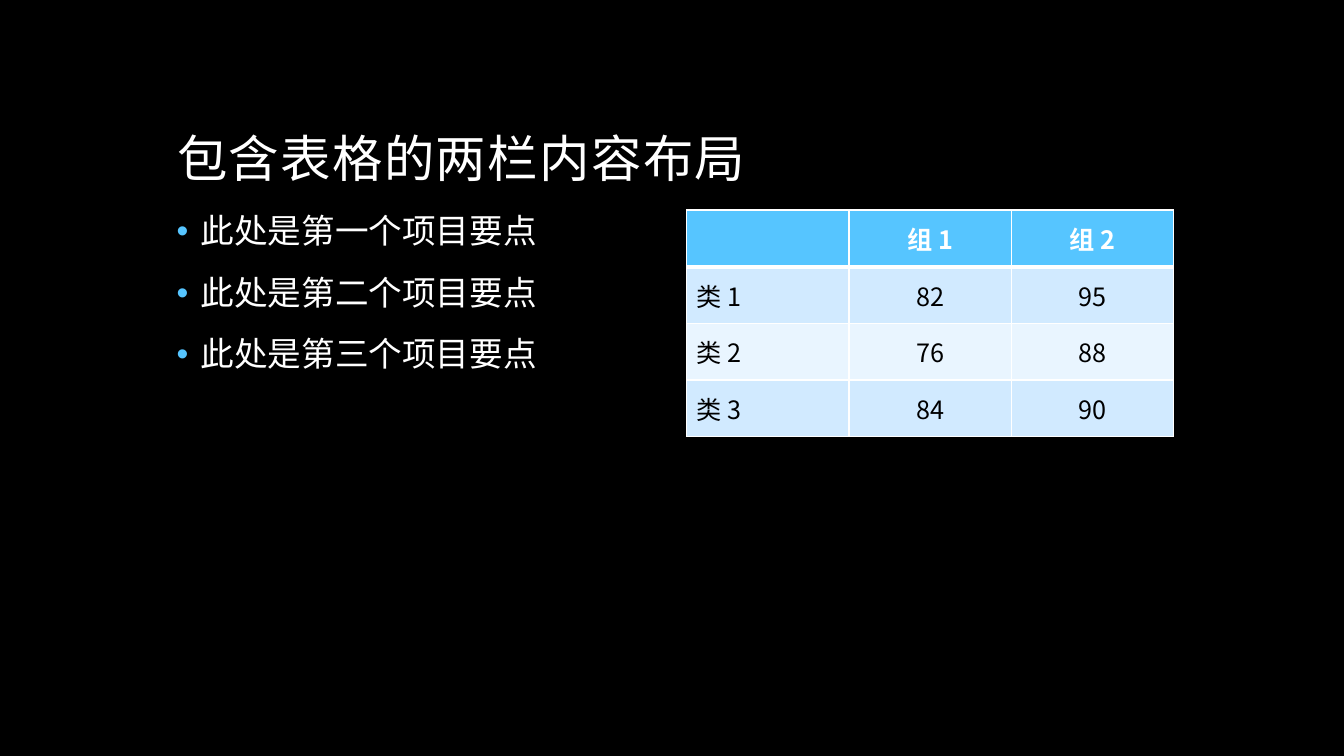
from lxml import etree
from pptx import Presentation
from pptx.dml.color import RGBColor
from pptx.enum.text import MSO_ANCHOR, PP_ALIGN
from pptx.oxml.ns import qn
from pptx.util import Pt

TOP, MIDDLE, BOTTOM = MSO_ANCHOR.TOP, MSO_ANCHOR.MIDDLE, MSO_ANCHOR.BOTTOM
LEFT, CENTER = PP_ALIGN.LEFT, PP_ALIGN.CENTER
FACE = "Noto Sans CJK SC"
HEX = {
    "back": "000000",
    "light": "FFFFFF",
    "dark": "000000",
    "blue": "56C5FF",
    "odd": "D1EAFF",
    "even": "E9F5FF",
}
TITLE = "包含表格的两栏内容布局"
POINTS = ["此处是第一个项目要点", "此处是第二个项目要点", "此处是第三个项目要点"]
ROWS = [
    ["", "组 1", "组 2"],
    ["类 1", "82", "95"],
    ["类 2", "76", "88"],
    ["类 3", "84", "90"],
]


def color(name):
    return RGBColor.from_string(HEX[name])


def add(parent, tag, **attrs):
    return etree.SubElement(parent, qn(tag), attrs)


def style(para, size, ink, bold=False):
    font = para.font
    font.size, font.bold, font.name = Pt(size), bold, FACE
    font.color.rgb = color(ink)
    props = para._p.pPr.find(qn("a:defRPr"))
    add(props, "a:ea", typeface=FACE)
    return props


def add_text(slide, box, anchor):
    frame = slide.shapes.add_textbox(*map(Pt, box)).text_frame
    frame.word_wrap = True
    frame.vertical_anchor = anchor
    return frame


def add_title(slide, box):
    para = add_text(slide, box, BOTTOM).paragraphs[0]
    para.text = TITLE
    para.line_spacing = 0.9
    style(para, 36, "light").set("spc", "100")


def add_bullet(para):
    props = para._p.get_or_add_pPr()
    props.set("marL", str(Pt(17.28)))
    props.set("indent", str(-Pt(17.28)))
    add(add(props, "a:buClr"), "a:srgbClr", val=HEX["blue"])
    add(props, "a:buFont", typeface="Arial")
    add(props, "a:buChar", char="•")


def add_points(slide, box):
    frame = add_text(slide, box, TOP)
    for i, text in enumerate(POINTS):
        para = frame.add_paragraph() if i else frame.paragraphs[0]
        para.text = text
        add_bullet(para)
        para.line_spacing = 0.9
        para.space_before = Pt(18)
        style(para, 24, "light")


def add_edges(cell, row):
    widths = {"L": 1, "R": 1, "T": 3 if row == 1 else 1, "B": 3 if row == 0 else 1}
    props = cell._tc.get_or_add_tcPr()
    for side, width in widths.items():
        line = add(props, f"a:ln{side}", w=str(Pt(width)))
        add(add(line, "a:solidFill"), "a:srgbClr", val=HEX["light"])


def add_grid(slide, box):
    table = slide.shapes.add_table(len(ROWS), len(ROWS[0]), *map(Pt, box)).table
    for r, row in enumerate(ROWS):
        head = r == 0
        fill = "blue" if head else "odd" if r % 2 else "even"
        for c, text in enumerate(row):
            cell = table.cell(r, c)
            add_edges(cell, r)
            cell.fill.solid()
            cell.fill.fore_color.rgb = color(fill)
            cell.vertical_anchor = MIDDLE
            para = cell.text_frame.paragraphs[0]
            para.text = text
            para.alignment = CENTER if c else LEFT
            style(para, 18, "light" if head else "dark", head)


def main():
    deck = Presentation()
    deck.slide_width, deck.slide_height = Pt(960), Pt(540)
    slide = deck.slides.add_slide(deck.slide_layouts[6])
    slide.background.fill.solid()
    slide.background.fill.fore_color.rgb = color("back")
    add_title(slide, (119.5, 30, 720, 108))
    add_points(slide, (119, 150, 348, 324))
    add_grid(slide, (490.5, 150, 348, 162))
    deck.save("out.pptx")


if __name__ == "__main__":
    main()
